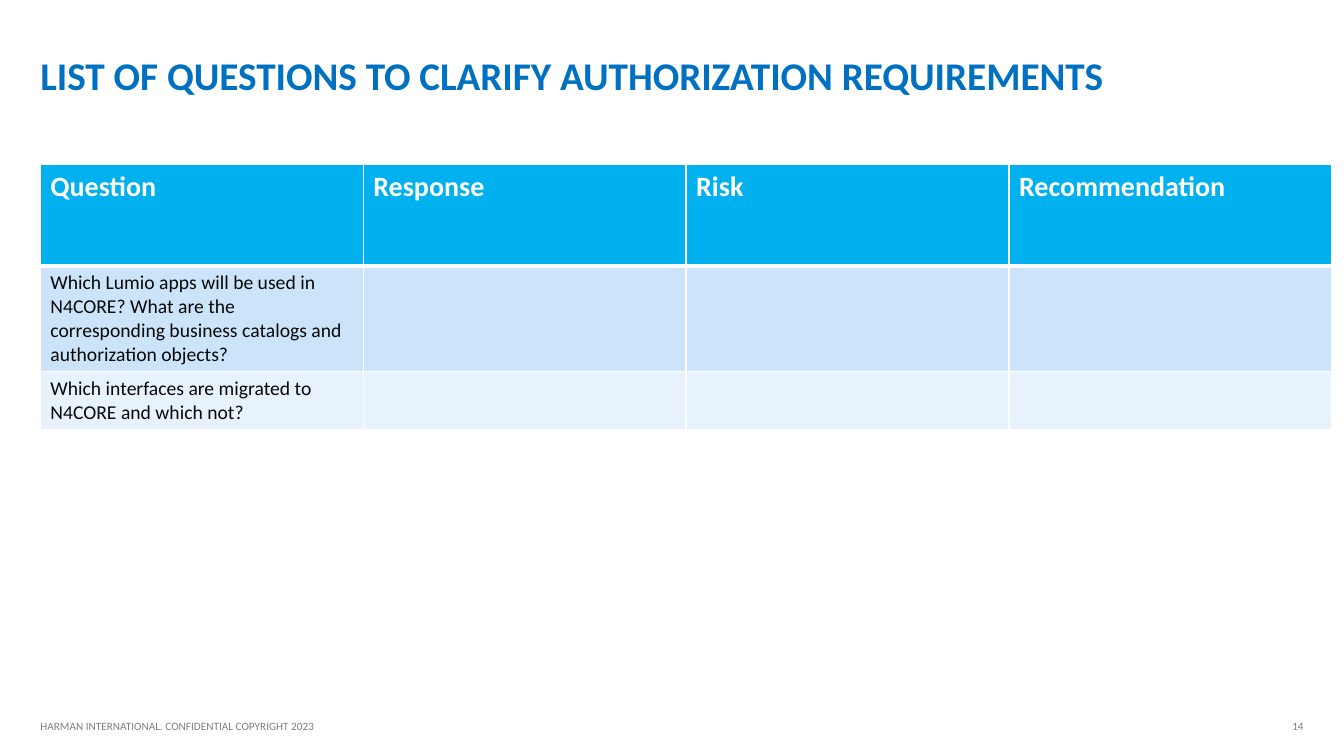
"""Build the authorization questions slide."""
import dataclasses
import typing

import lxml.etree
import pptx
import pptx.dml.color
import pptx.enum.text
import pptx.oxml.ns
import pptx.util

PX = 9144
ALIGN = pptx.enum.text.PP_ALIGN


@dataclasses.dataclass(frozen=True)
class Theme:
    font: str = "Calibri"
    title: str = "0070C0"
    footer: str = "808080"
    header_text: str = "FFFFFF"
    body_text: str = "080808"
    border: str = "FFFFFF"
    header_fill: str = "00B0EF"
    band_fills: tuple[str, str] = ("CCE4F9", "E7F2FC")
    title_size: int = 28
    header_size: int = 20
    body_size: int = 14
    footer_size: int = 8
    thin_line: int = 1
    thick_line: int = 3


@dataclasses.dataclass(frozen=True)
class Box:
    left: int
    top: int
    width: int
    height: int

    def emu(self) -> list[int]:
        return [side * PX for side in dataclasses.astuple(self)]


@dataclasses.dataclass(frozen=True)
class Footer:
    text: str
    box: Box
    align: ALIGN


@dataclasses.dataclass(frozen=True)
class TableRow:
    height: int
    texts: tuple[str, ...]


THEME = Theme()
TITLE = "LIST OF QUESTIONS TO CLARIFY AUTHORIZATION REQUIREMENTS"
TITLE_BOX = Box(40, 51, 1061, 94)
TABLE_BOX = Box(40, 163, 1281, 261)
FOOTERS = (
    Footer("HARMAN INTERNATIONAL. CONFIDENTIAL COPYRIGHT 2023", Box(40, 714, 495, 15), ALIGN.LEFT),
    Footer("14", Box(1224, 714, 69, 15), ALIGN.RIGHT),
)
ROWS = (
    TableRow(101, ("Question", "Response", "Risk", "Recommendation")),
    TableRow(104, (
        "Which Lumio apps will be used in N4CORE? What are the corresponding "
        "business catalogs and authorization objects?", "", "", "")),
    TableRow(56, ("Which interfaces are migrated to N4CORE and which not?", "", "", "")),
)


def write(frame: typing.Any, text: str, *, size: int, color: str,
          bold: bool = False, align: ALIGN = ALIGN.LEFT) -> None:
    paragraph = frame.paragraphs[0]
    paragraph.alignment = align
    if text:
        paragraph.text = text
    font = paragraph.font
    if paragraph.runs:
        font = paragraph.runs[0].font
    font.name = THEME.font
    font.size = pptx.util.Pt(size)
    font.bold = bold
    font.color.rgb = pptx.dml.color.RGBColor.from_string(color)


def fit_frame(frame: typing.Any) -> None:
    frame.margin_left = frame.margin_right = 0
    frame.margin_top = frame.margin_bottom = 0
    frame.word_wrap = True
    frame.auto_size = pptx.enum.text.MSO_AUTO_SIZE.NONE
    frame.vertical_anchor = pptx.enum.text.MSO_ANCHOR.TOP


def add_borders(cell: typing.Any, widths: dict[str, int]) -> None:
    properties = cell._tc.get_or_add_tcPr()
    qn = pptx.oxml.ns.qn
    for side, width in widths.items():
        line = lxml.etree.SubElement(properties, qn(f"a:ln{side}"), w=str(pptx.util.Pt(width)))
        fill = lxml.etree.SubElement(line, qn("a:solidFill"))
        lxml.etree.SubElement(fill, qn("a:srgbClr"), val=THEME.border)


def add_title(slide: typing.Any) -> None:
    title = slide.shapes.title
    title.left, title.top, title.width, title.height = TITLE_BOX.emu()
    fit_frame(title.text_frame)
    write(title.text_frame, TITLE, size=THEME.title_size, color=THEME.title, bold=True)


def add_questions(slide: typing.Any) -> None:
    columns = len(ROWS[0].texts)
    questions = slide.shapes.add_table(len(ROWS), columns, *TABLE_BOX.emu()).table
    for index, row in enumerate(ROWS):
        questions.rows[index].height = row.height * PX
        header = index == 0
        fill = THEME.header_fill if header else THEME.band_fills[(index - 1) % 2]
        widths = dict.fromkeys("LRTB", THEME.thin_line)
        if header:
            widths["B"] = THEME.thick_line
        elif index == 1:
            widths["T"] = THEME.thick_line
        for column, text in enumerate(row.texts):
            cell = questions.cell(index, column)
            add_borders(cell, widths)
            cell.fill.solid()
            cell.fill.fore_color.rgb = pptx.dml.color.RGBColor.from_string(fill)
            write(cell.text_frame, text, bold=header,
                  size=THEME.header_size if header else THEME.body_size,
                  color=THEME.header_text if header else THEME.body_text)


def add_footer(slide: typing.Any, footer: Footer) -> None:
    frame = slide.shapes.add_textbox(*footer.box.emu()).text_frame
    fit_frame(frame)
    write(frame, footer.text, size=THEME.footer_size, color=THEME.footer, align=footer.align)


def main() -> None:
    deck = pptx.Presentation()
    deck.slide_width = pptx.util.Inches(13.33)
    deck.slide_height = pptx.util.Inches(7.5)
    slide = deck.slides.add_slide(deck.slide_layouts.get_by_name("Title Only"))
    for footer in FOOTERS:
        add_footer(slide, footer)
    add_title(slide)
    add_questions(slide)
    deck.save("out.pptx")


if __name__ == "__main__":
    main()
